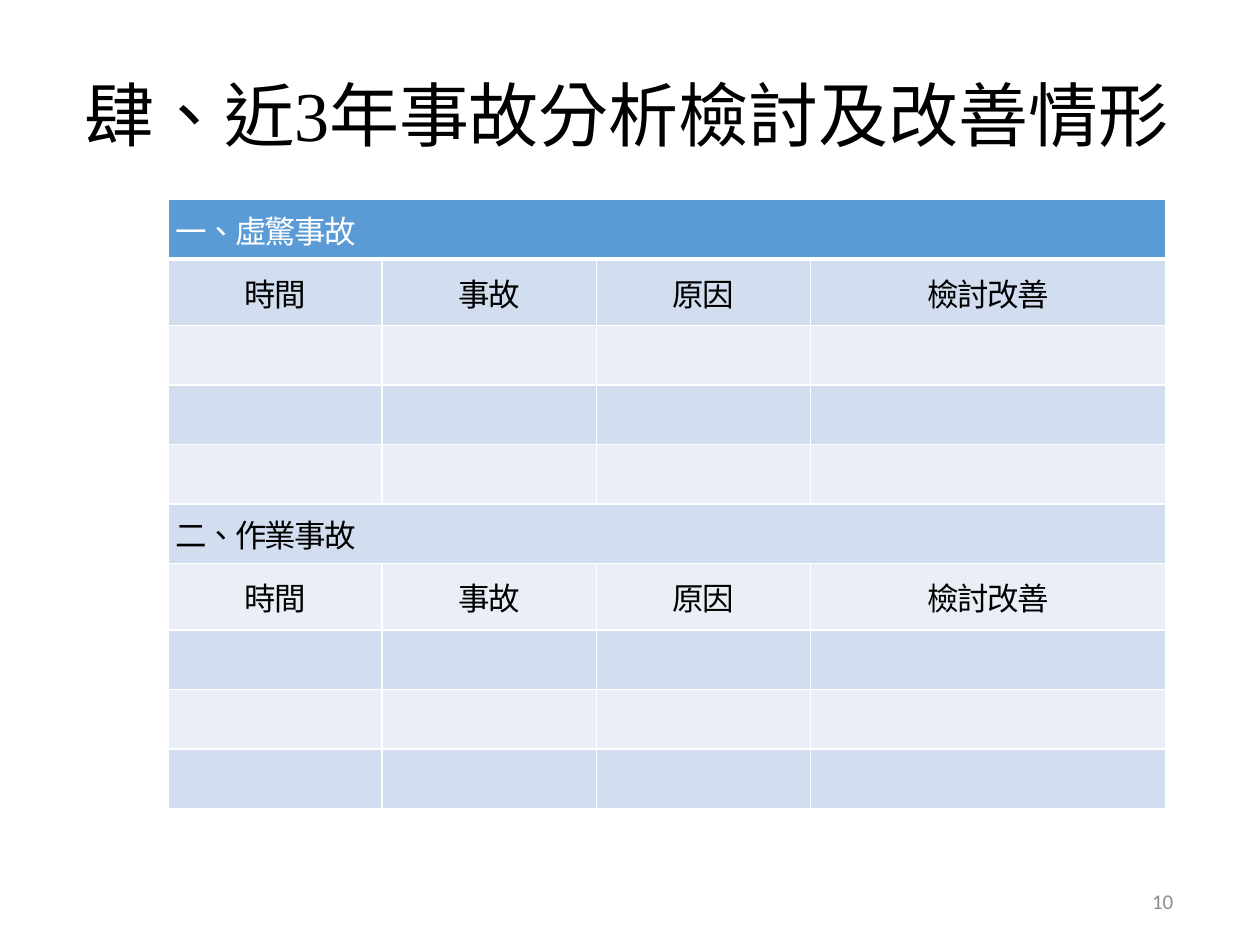
import pptx
import pptx.util
import pptx.dml.color
import pptx.enum.lang
import pptx.enum.text
import pptx.oxml
import pptx.oxml.ns
from dataclasses import dataclass

Pt = pptx.util.Pt
Align = pptx.enum.text.PP_ALIGN
Middle = pptx.enum.text.MSO_ANCHOR.MIDDLE


@dataclass(frozen=True)
class Theme:
    ink: str = "000000"
    white: str = "FFFFFF"
    gray: str = "8C8C8C"
    head: str = "5B9BD5"
    dark: str = "D2DEEF"
    light: str = "EAEFF7"
    serif: str = "Times New Roman"
    sans: str = "Calibri"
    asian: str = "Noto Sans CJK SC"
    big: int = 40
    mid: int = 18
    small: int = 12


THEME = Theme()
LABELS = ["時間", "事故", "原因", "檢討改善"]
BLANK = [""] * 4
ROWS = []
for name in ("一、虛驚事故", "二、作業事故"):
    ROWS += [[name], LABELS, BLANK, BLANK, BLANK]
WIDTHS = [122.4, 122.4, 122.4, 203]


def rgb(color):
    return pptx.dml.color.RGBColor.from_string(color)


def style(para, face, size, color, align=Align.LEFT):
    para.alignment = align
    for run in para.runs:
        font = run.font
        font.name, font.size, font.bold = face, Pt(size), False
        font.color.rgb = rgb(color)
        font.language_id = pptx.enum.lang.MSO_LANGUAGE_ID.TRADITIONAL_CHINESE


def place(shape, left, top, width, height):
    shape.left, shape.top = Pt(left), Pt(top)
    shape.width, shape.height = Pt(width), Pt(height)


def write(shape, text, *look):
    frame = shape.text_frame
    frame.text = text
    frame.word_wrap = True
    frame.auto_size = pptx.enum.text.MSO_AUTO_SIZE.NONE
    frame.vertical_anchor = Middle
    frame.margin_left = frame.margin_right = 0
    frame.margin_top = frame.margin_bottom = 0
    style(frame.paragraphs[0], *look)


def edge(cell, side, width):
    line = pptx.oxml.parse_xml(
        f'<a:ln{side} {pptx.oxml.ns.nsdecls("a")} w="{Pt(width)}"><a:solidFill>'
        f'<a:srgbClr val="{THEME.white}"/></a:solidFill></a:ln{side}>')
    cell._tc.get_or_add_tcPr().append(line)


def tighten(run):
    props = run._r.get_or_add_rPr()
    props.set("spc", "-100")
    props.append(pptx.oxml.parse_xml(
        f'<a:ea {pptx.oxml.ns.nsdecls("a")} typeface="{THEME.asian}"/>'))


def fill_cell(cell, text, row, align):
    for side in "LRTB":
        edge(cell, side, 3 if (row, side) in ((0, "B"), (1, "T")) else 1)
    color = THEME.dark if row % 2 else THEME.light
    cell.fill.solid()
    cell.fill.fore_color.rgb = rgb(THEME.head if row == 0 else color)
    cell.vertical_anchor = Middle
    cell.margin_left = cell.margin_right = Pt(4.32)
    cell.margin_top = cell.margin_bottom = Pt(2.16)
    if text:
        cell.text_frame.text = text
        para = cell.text_frame.paragraphs[0]
        ink = THEME.white if row == 0 else THEME.ink
        style(para, THEME.asian, THEME.mid, ink, align)
        tighten(para.runs[0])


def add_grid(slide, left, top):
    high = [38 if row == LABELS else 34 for row in ROWS]
    grid = slide.shapes.add_table(
        len(ROWS), len(WIDTHS), Pt(left), Pt(top),
        Pt(sum(WIDTHS)), Pt(sum(high))).table
    for col, width in zip(grid.columns, WIDTHS):
        col.width = Pt(width)
    for i, texts in enumerate(ROWS):
        grid.rows[i].height = Pt(high[i])
        band = len(texts) == 1
        if band:
            grid.cell(i, 0).merge(grid.cell(i, len(WIDTHS) - 1))
        for j, text in enumerate(texts + BLANK[len(texts):]):
            fill_cell(grid.cell(i, j), text, i,
                      Align.LEFT if band else Align.CENTER)


def add_page(slide, text):
    box = slide.shapes.add_textbox(0, 0, 0, 0)
    place(box, 508.5, 500.4, 162, 28.8)
    write(box, text, THEME.sans, THEME.small, THEME.gray, Align.RIGHT)


def main():
    deck = pptx.Presentation()
    deck.slide_width, deck.slide_height = Pt(720), Pt(540)
    slide = deck.slides.add_slide(deck.slide_layouts[5])
    title = slide.shapes.title
    place(title, 48.2, 41, 623.5, 48.2)
    write(title, "肆、近3年事故分析檢討及改善情形",
          THEME.serif, THEME.big, THEME.ink)
    add_grid(slide, 96, 114)
    add_page(slide, "10")
    deck.save("out.pptx")


if __name__ == "__main__":
    main()
